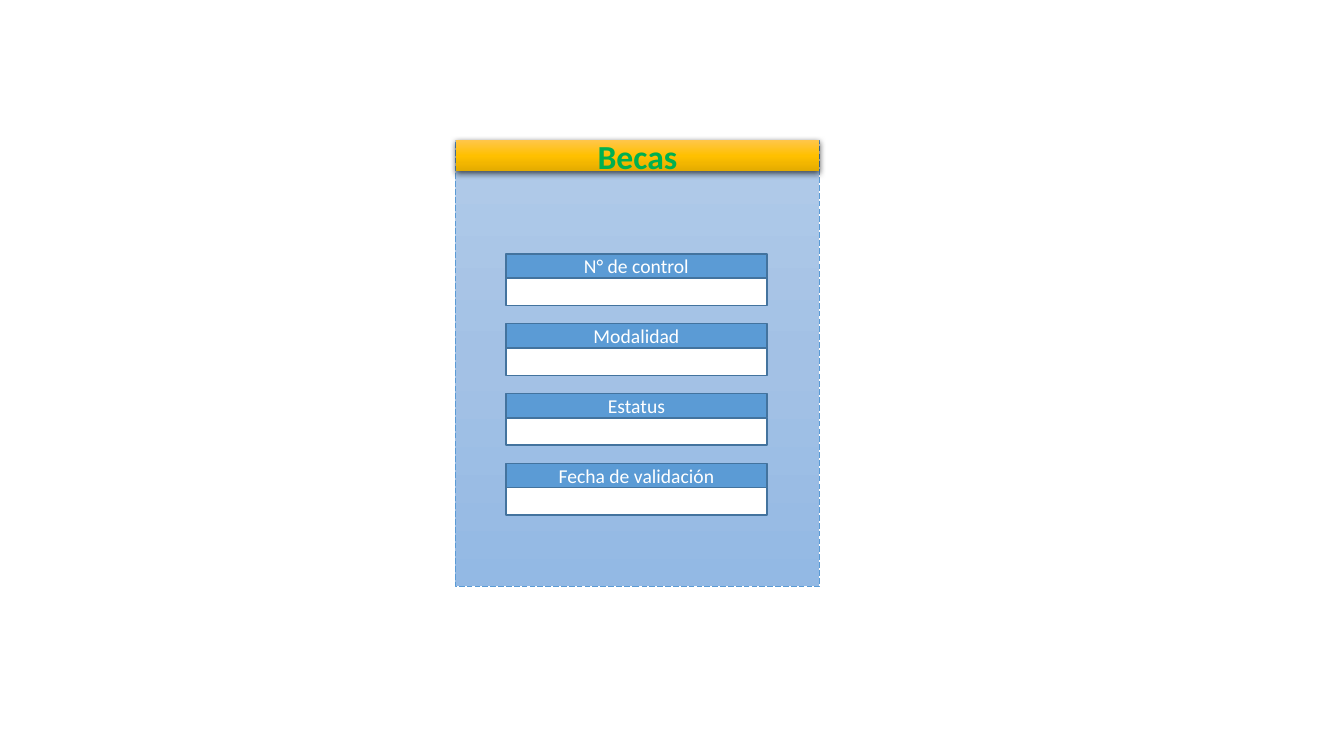
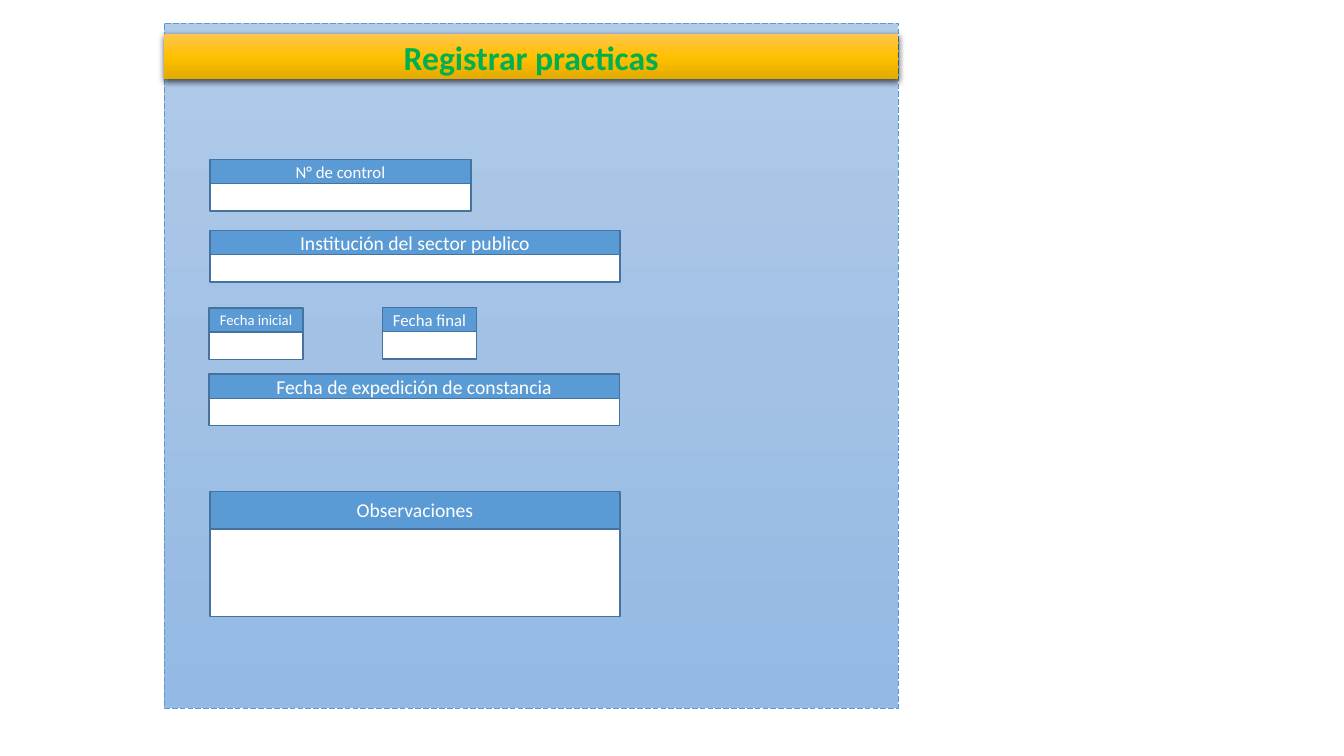
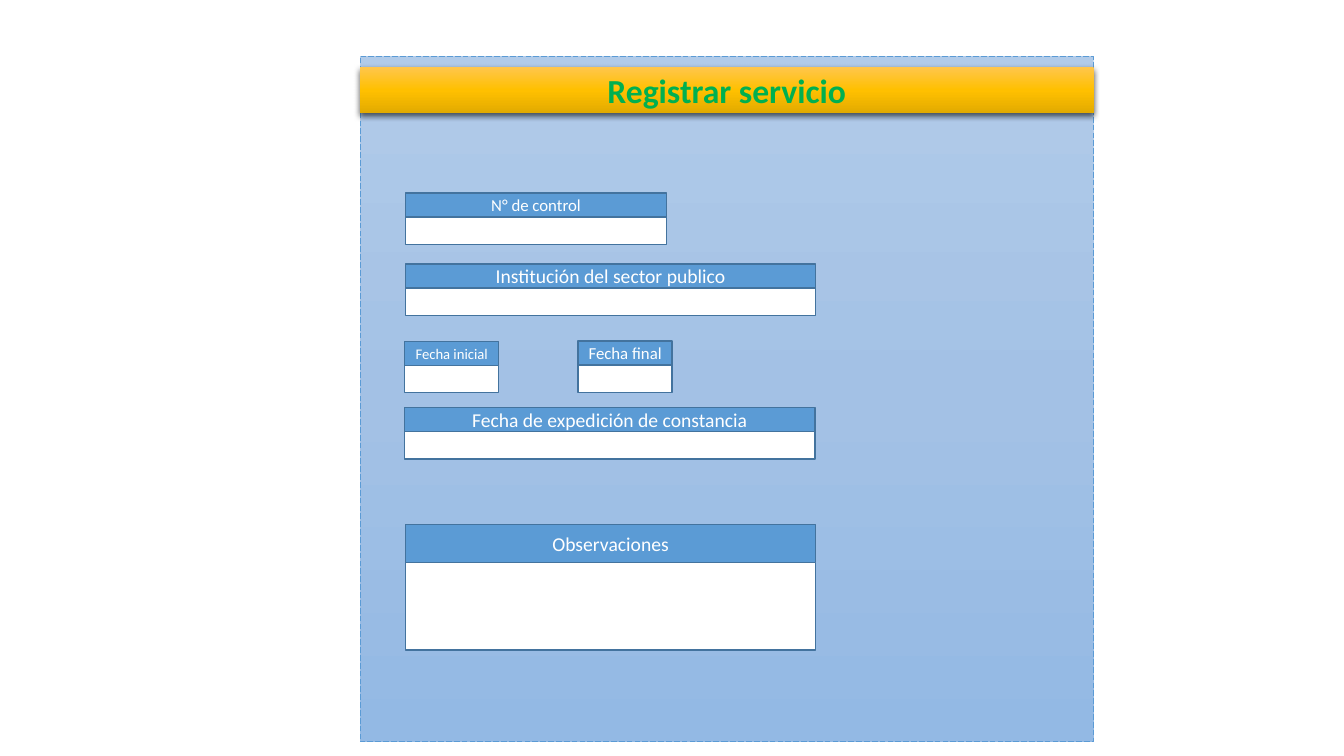
from copy import deepcopy

from lxml.etree import SubElement
from pptx import Presentation
from pptx.dml.color import RGBColor
from pptx.enum.dml import MSO_LINE
from pptx.enum.shapes import MSO_SHAPE
from pptx.enum.text import MSO_ANCHOR, MSO_AUTO_SIZE, PP_ALIGN
from pptx.oxml.ns import qn
from pptx.util import Cm, Pt

FONT = "Calibri"
COLORS = {
    "white": "FFFFFF",
    "label": "5B9BD5",
    "outline": "43739E",
    "title": "00B050",
    "shadow": "000000",
}
PANEL_GRADIENT = ("B1CBE9", "A3C1E5", "93B9E4")
BAND_GRADIENT = ("FFC64B", "FFC000", "E3AB00")

LABEL_HEIGHT = 0.61
INPUT_HEIGHT = 0.69
SHORT, MEDIUM, LONG = 2.37, 6.58, 10.34

SCHOLARSHIP_LABELS = ("N° de control", "Modalidad", "Estatus", "Fecha de validación")
RECORD_FIELDS = (
    ("N° de control", 1.15, 3.44, MEDIUM, 12),
    ("Institución del sector publico", 1.15, 5.23, LONG, 14),
    ("Fecha inicial", 1.13, 7.18, SHORT, 10.5),
    ("Fecha final", 5.5, 7.17, SHORT, 12),
    ("Fecha de expedición de constancia", 1.13, 8.85, LONG, 14),
)


def color(name):
    return RGBColor.from_string(COLORS[name])


def set_gradient(shape, stops):
    shape.fill.gradient()
    shape.fill.gradient_angle = 270
    first = next(shape.element.iter(qn("a:gs")))
    first.addnext(deepcopy(first))
    for index, (stop, value) in enumerate(zip(shape.fill.gradient_stops, stops)):
        stop.position = index / (len(stops) - 1)
        stop.color.rgb = RGBColor.from_string(value)


def add_shadow(shape):
    shape.shadow.inherit = False
    effects = next(shape.element.iter(qn("a:effectLst")))
    outer = SubElement(effects, qn("a:outerShdw"), blurRad=str(Pt(4.5)),
                       dist=str(Pt(1.5)), dir="5400000", algn="ctr", rotWithShape="0")
    tint = SubElement(outer, qn("a:srgbClr"), val=COLORS["shadow"])
    SubElement(tint, qn("a:alpha"), val="63000")


def write_text(shape, text, size, color_name, bold=False):
    frame = shape.text_frame
    frame.auto_size = MSO_AUTO_SIZE.NONE
    frame.word_wrap = True
    frame.vertical_anchor = MSO_ANCHOR.MIDDLE
    frame.margin_left = frame.margin_right = 0
    frame.margin_top = frame.margin_bottom = 0
    para = frame.paragraphs[0]
    para.alignment = PP_ALIGN.CENTER
    span = para.add_run()
    span.text = text
    span.font.name = FONT
    span.font.size = Pt(size)
    span.font.bold = bold
    span.font.color.rgb = color(color_name)


def add_box(page, left, top, width, height, line="outline", weight=1):
    box = page.shapes.add_shape(MSO_SHAPE.RECTANGLE, Cm(left), Cm(top), Cm(width), Cm(height))
    box.shadow.inherit = False
    box.line.color.rgb = color(line)
    box.line.width = Pt(weight)
    return box


def add_field(page, text, left, top, width, size=14,
              label_height=LABEL_HEIGHT, input_height=INPUT_HEIGHT):
    label = add_box(page, left, top, width, label_height)
    label.fill.solid()
    label.fill.fore_color.rgb = color("label")
    write_text(label, text, size, "white")
    entry = add_box(page, left, top + label_height, width, input_height)
    entry.fill.solid()
    entry.fill.fore_color.rgb = color("white")


def add_form_page(deck, text, left, top, width, height, band_offset, band_height):
    page = deck.slides.add_slide(deck.slide_layouts[5])
    panel = add_box(page, left, top, width, height, "label", 0.5)
    panel.line.dash_style = MSO_LINE.LONG_DASH
    set_gradient(panel, PANEL_GRADIENT)
    title = page.shapes.title
    title.left, title.top = Cm(left), Cm(top + band_offset)
    title.width, title.height = Cm(width), Cm(band_height)
    set_gradient(title, BAND_GRADIENT)
    add_shadow(title)
    write_text(title, text, 24, "title", bold=True)
    title.element.addprevious(panel.element)
    return page


def add_scholarship_page(deck):
    left, top = 11.48, 3.53
    page = add_form_page(deck, "Becas", left, top, 9.17, 11.25, 0, 0.79)
    for index, text in enumerate(SCHOLARSHIP_LABELS):
        add_field(page, text, left + 1.27, top + 2.87 + index * 1.76, MEDIUM)


def add_record_page(deck, text, left, top):
    page = add_form_page(deck, text, left, top, 18.49, 17.27, 0.28, 1.14)
    for label, x, y, width, size in RECORD_FIELDS:
        add_field(page, label, left + x, top + y, width, size)
    add_field(page, "Observaciones", left + 1.15, top + 11.8, LONG,
              label_height=0.95, input_height=2.21)


def main():
    deck = Presentation()
    deck.slide_width, deck.slide_height = Cm(33.87), Cm(19.05)
    add_scholarship_page(deck)
    add_record_page(deck, "Registrar practicas", 4.14, 0.58)
    add_record_page(deck, "Registrar servicio", 9.07, 1.42)
    deck.save("out.pptx")


if __name__ == "__main__":
    main()
